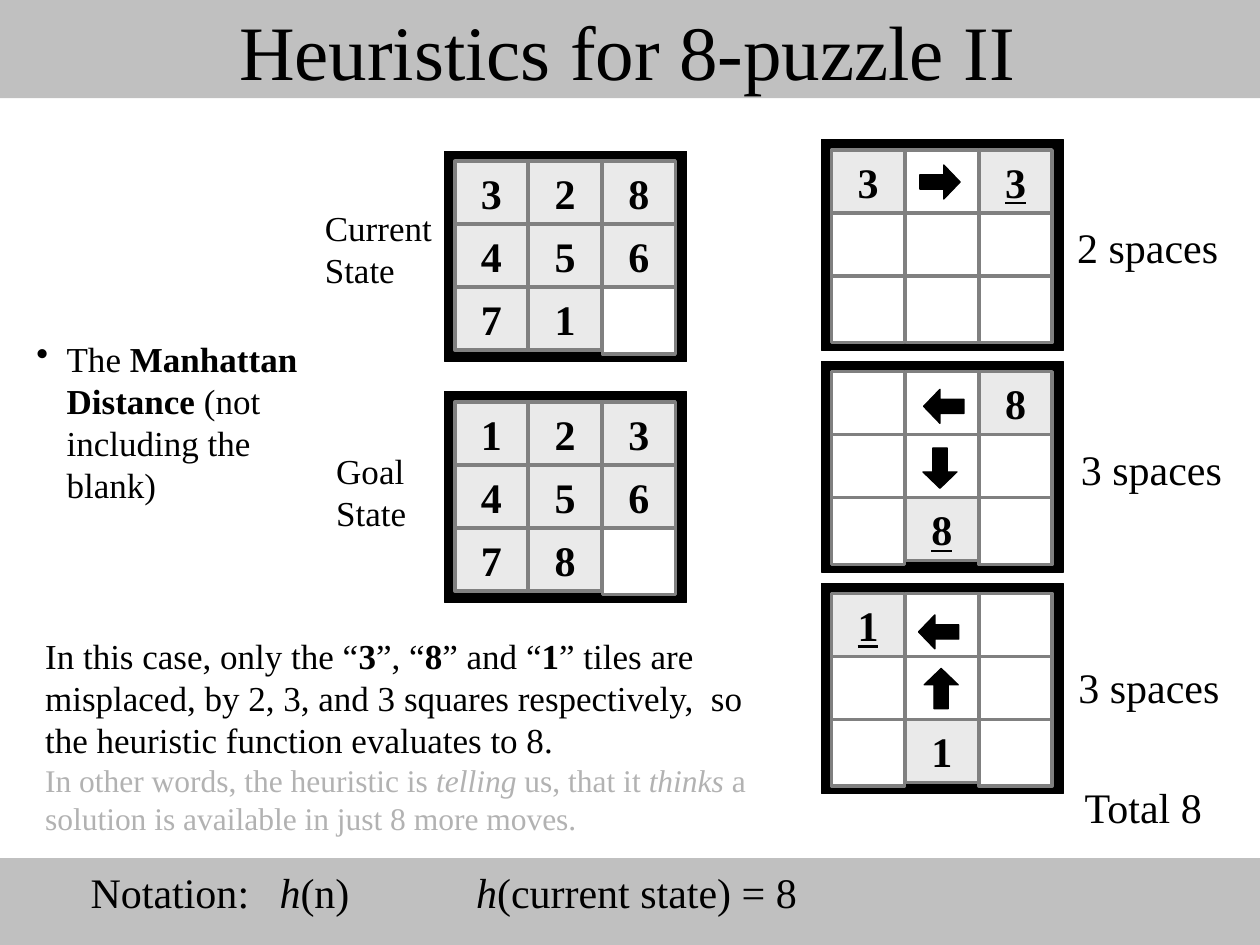
import pptx
import pptx.util
import pptx.dml.color
import pptx.enum.shapes
import pptx.enum.text
import lxml.etree
from pptx.util import Inches

THEME = {
    "font": "Times New Roman",
    "black": "000000", "band": "C0C0C0", "tile": "EAEAEA",
    "blank": "FFFFFF", "edge": "808080", "muted": "B2B2B2",
    "title": 44, "large": 24, "body": 20, "small": 18,
}
SHAPE = pptx.enum.shapes.MSO_SHAPE
ALIGN = pptx.enum.text.PP_ALIGN
ANCHOR = pptx.enum.text.MSO_ANCHOR
rgb = pptx.dml.color.RGBColor.from_string


def add_block(shapes, kind, box, fill, line=None, line_width=0.75):
    shape = shapes.add_shape(kind, *[Inches(value) for value in box])
    shape.shadow.inherit = False
    shape.fill.solid()
    shape.fill.fore_color.rgb = rgb(THEME[fill])
    if line:
        shape.line.color.rgb = rgb(THEME[line])
        shape.line.width = pptx.util.Pt(line_width)
    else:
        shape.line.fill.background()
    return shape


def write(paragraph, pieces, size, color="black"):
    """Each piece is (text, style), where style holds any of the letters b, i, u."""
    for text, style in pieces:
        run = paragraph.add_run()
        run.text = text
        run.font.name = THEME["font"]
        run.font.size = pptx.util.Pt(THEME[size])
        run.font.color.rgb = rgb(THEME[color])
        run.font.bold = "b" in style
        run.font.italic = "i" in style
        run.font.underline = "u" in style


presentation = pptx.Presentation()
presentation.slide_width = Inches(10)
presentation.slide_height = Inches(7.5)
slide = presentation.slides.add_slide(presentation.slide_layouts[5])

# Header and footer bands, with the title in front
add_block(slide.shapes, SHAPE.RECTANGLE, (0, 0, 10, 0.78), "band")
add_block(slide.shapes, SHAPE.RECTANGLE, (0, 6.81, 10, 0.69), "band")
title = slide.shapes.title
slide.shapes._spTree.append(title._element)
title.left, title.top = Inches(0.73), Inches(-0.23)
title.width, title.height = Inches(8.5), Inches(1.25)
title.text_frame.vertical_anchor = ANCHOR.MIDDLE
title.text_frame.paragraphs[0].alignment = ALIGN.CENTER
write(title.text_frame.paragraphs[0], [("Heuristics for 8-puzzle II", "")], "title")

# Puzzle boards: a dot is a blank square, an underscore marks a goal square
TILE_WIDTH, TILE_HEIGHT, BLANK_HEIGHT, RIM = 0.58, 0.5, 0.53, 0.08
boards = [
    (3.53, 1.2, ["3 2 8", "4 5 6", "7 1 ."]),
    (3.53, 3.11, ["1 2 3", "4 5 6", "7 8 ."]),
    (6.52, 1.11, ["3 . 3_", ". . .", ". . ."]),
    (6.52, 2.87, [". . 8", ". . .", ". 8_ ."]),
    (6.52, 4.63, ["1_ . .", ". . .", ". 1 ."]),
]
for left, top, rows in boards:
    board = slide.shapes.add_group_shape()
    add_block(board.shapes, SHAPE.RECTANGLE, (left, top, 1.92, 1.67), "black", "black")
    for row, labels in enumerate(rows):
        for column, label in enumerate(labels.split()):
            blank = label == "."
            box = (left + RIM + column * (TILE_WIDTH + 0.005), top + RIM + row * TILE_HEIGHT,
                   TILE_WIDTH, BLANK_HEIGHT if blank else TILE_HEIGHT)
            tile = add_block(board.shapes, SHAPE.RECTANGLE, box,
                             "blank" if blank else "tile", "edge", 2)
            if not blank:
                tile.text_frame.vertical_anchor = ANCHOR.MIDDLE
                paragraph = tile.text_frame.paragraphs[0]
                paragraph.alignment = ALIGN.CENTER
                write(paragraph, [(label[0], "bu" if "_" in label else "b")], "large")

# Arrows for the moves
for left, top, rotation in [(7.3, 1.31, 0), (7.33, 3.09, 180), (7.3, 3.58, 90),
                            (7.29, 4.88, 180), (7.31, 5.33, 270)]:
    arrow = add_block(slide.shapes, SHAPE.RIGHT_ARROW, (left, top, 0.32, 0.27), "black", "black")
    arrow.adjustments[0], arrow.adjustments[1] = 0.42, 0.48
    arrow.rotation = rotation

# Text boxes: box, wrap, paragraphs of (pieces, size, color)
manhattan = [("The ", ""), ("Manhattan Distance", "b"), (" (not including the blank)", "")]
explanation = [
    ("In this case, only the “", ""), ("3", "b"), ("”, “", ""), ("8", "b"),
    ("” and “", ""), ("1", "b"),
    ("” tiles are misplaced, by 2, 3, and 3 squares respectively,  so the heuristic "
     "function evaluates to 8.", ""),
]
meaning = [
    ("In other words, the heuristic is ", ""), ("telling", "i"), (" us, that it ", ""),
    ("thinks", "i"), (" a solution is available in just 8 more moves.", ""),
]
notation = [("Notation:\t", ""), ("h", "i"), ("(n)\t", ""), ("h", "i"),
            ("(current state) = 8", "")]
texts = [
    ((0.19, 2.63, 2.31, 1.44), True, [(manhattan, "body", "black")]),
    ((0.62, 6.83, 5.89, 0.5), False, [(notation, "large", "black")]),
    ((0.26, 4.99, 6.06, 1.7), True,
     [(explanation, "body", "black"), (meaning, "small", "muted")]),
    ((2.48, 1.59, 1.3, 0.77), True, [([("Current State", "")], "body", "black")]),
    ((2.57, 3.52, 1.16, 0.77), True, [([("Goal State", "")], "body", "black")]),
]
for left, top, width, label in [(8.45, 1.71, 1.32, "2 spaces"), (8.48, 3.47, 1.32, "3 spaces"),
                                (8.46, 5.2, 1.32, "3 spaces"), (8.51, 6.15, 1.15, "Total 8")]:
    texts.append(((left, top, width, 0.5), False, [([(label, "")], "large", "black")]))

text_frames = []
for box, wrap, paragraphs in texts:
    text_frame = slide.shapes.add_textbox(*[Inches(value) for value in box]).text_frame
    text_frame.word_wrap = wrap
    for index, (pieces, size, color) in enumerate(paragraphs):
        paragraph = text_frame.add_paragraph() if index else text_frame.paragraphs[0]
        write(paragraph, pieces, size, color)
    text_frames.append(text_frame)

# Bullet with a hanging indent
namespace = "{http://schemas.openxmlformats.org/drawingml/2006/main}"
properties = text_frames[0].paragraphs[0]._p.get_or_add_pPr()
properties.set("marL", str(Inches(0.24)))
properties.set("indent", str(-Inches(0.24)))
lxml.etree.SubElement(properties, namespace + "buChar", char="•")

# Tab stops of the notation line
properties = text_frames[1].paragraphs[0]._p.get_or_add_pPr()
tab_list = lxml.etree.SubElement(properties, namespace + "tabLst")
for position in (1.5, 3.06):
    lxml.etree.SubElement(tab_list, namespace + "tab", pos=str(Inches(position)), algn="l")

presentation.save("out.pptx")
